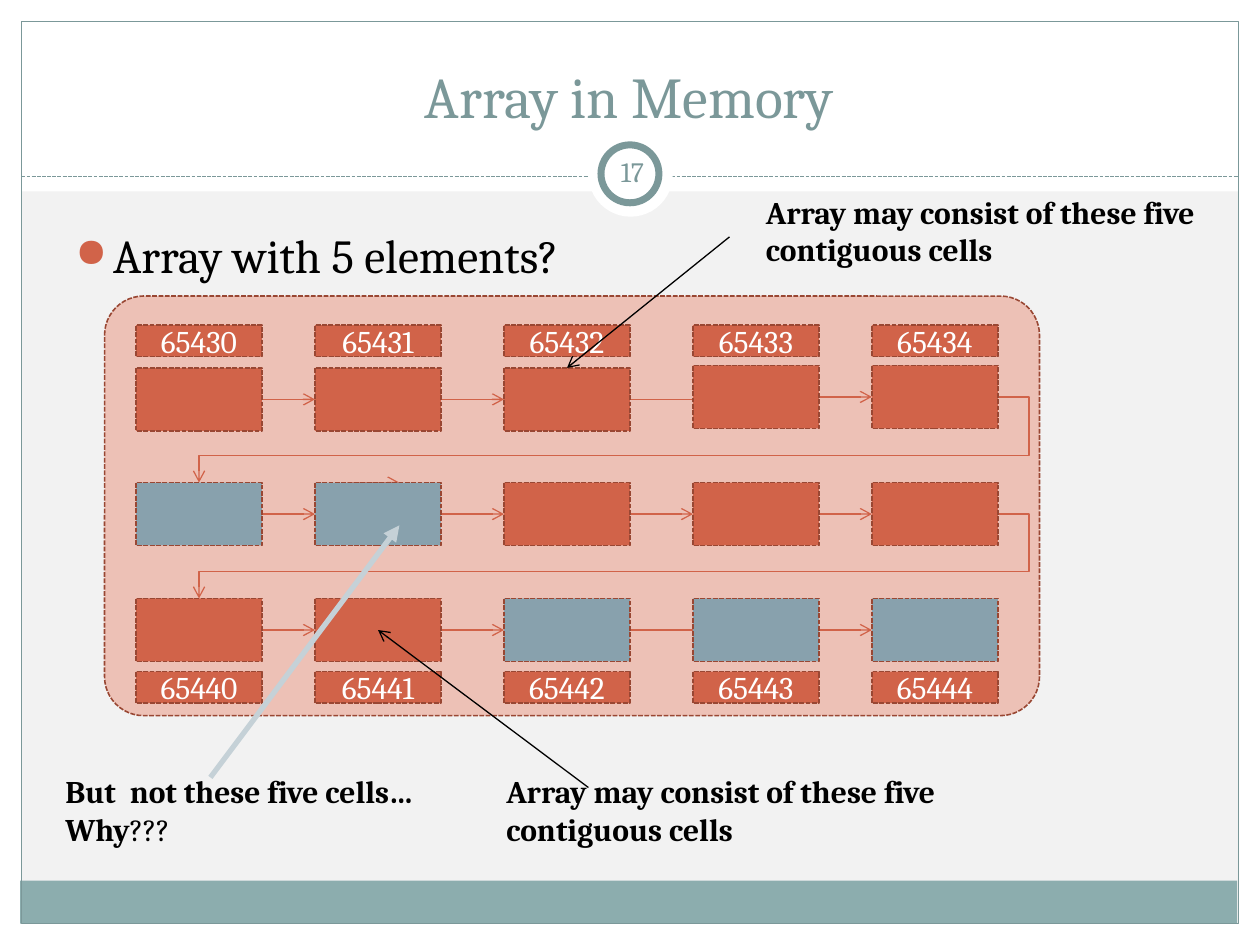
"""Build the slide that shows which memory cells can hold a five-element array."""
from lxml import etree
from pptx import Presentation
from pptx.dml.color import RGBColor
from pptx.enum.dml import MSO_LINE
from pptx.enum.shapes import MSO_CONNECTOR, MSO_SHAPE
from pptx.enum.text import MSO_ANCHOR, PP_ALIGN
from pptx.oxml.ns import qn
from pptx.util import Inches, Pt

RECT, ROUNDED, OVAL = MSO_SHAPE.RECTANGLE, MSO_SHAPE.ROUNDED_RECTANGLE, MSO_SHAPE.OVAL
STRAIGHT, ELBOW = MSO_CONNECTOR.STRAIGHT, MSO_CONNECTOR.ELBOW
DASH = MSO_LINE.SQUARE_DOT
TOP, MIDDLE, BOTTOM = MSO_ANCHOR.TOP, MSO_ANCHOR.MIDDLE, MSO_ANCHOR.BOTTOM
LEFT, CENTER = PP_ALIGN.LEFT, PP_ALIGN.CENTER

FONT = "Cambria"
COLORS = {
    "background": "F2F2F2", "white": "FFFFFF", "black": "000000",
    "teal": "7B9899", "footer": "8CADAE", "red": "D16349",
    "dark_red": "994733", "memory": "EDC1B6", "blue": "88A1AD", "pale": "C5D1D7",
}
COLUMNS = [1.08, 2.5, 4, 5.5, 6.92]
ROWS = [2.92, 3.83, 4.75]
CELL_W, CELL_H, LABEL_H = 1, 0.5, 0.25
BLUE_CELLS = {(1, 0), (1, 1), (2, 2), (2, 3), (2, 4)}
LONG_LINKS = {(0, 2), (2, 2)}
CONTIGUOUS = "Array may consist of these five contiguous cells"


class Deck:
    """Hold the style and the current slide."""

    def __init__(self, prs):
        self.s = prs.slides.add_slide(prs.slide_layouts[5])
        fill = self.s.background.fill
        fill.solid()
        fill.fore_color.rgb = self.color("background")

    def color(self, name):
        return RGBColor.from_string(COLORS[name])

    def stroke(self, line, color, width, dash=None):
        line.color.rgb = self.color(color)
        line.width = Pt(width)
        if dash:
            line.dash_style = dash

    def set_text(self, tf, text, size, color, bold=False, align=LEFT, anchor=TOP):
        tf.text = text
        tf.word_wrap = True
        tf.vertical_anchor = anchor
        for p in tf.paragraphs:
            p.alignment = align
            for r in p.runs:
                self.format_run(r, size, color, bold)

    def format_run(self, r, size, color, bold=False):
        r.font.name, r.font.size, r.font.bold = FONT, Pt(size), bold
        r.font.color.rgb = self.color(color)

    def shape(self, kind, x, y, w, h, fill=None, line=None, width=0.75, dash=None):
        sp = self.s.shapes.add_shape(kind, Inches(x), Inches(y), Inches(w), Inches(h))
        sp.shadow.inherit = False
        if fill:
            sp.fill.solid()
            sp.fill.fore_color.rgb = self.color(fill)
        else:
            sp.fill.background()
        if line:
            self.stroke(sp.line, line, width, dash)
        else:
            sp.line.fill.background()
        return sp

    def cell(self, x, y, h, fill="red", text=None):
        sp = self.shape(RECT, x, y, CELL_W, h, fill, "dark_red", 0.91, DASH)
        if text:
            self.set_text(sp.text_frame, text, 18, "white", align=CENTER, anchor=MIDDLE)

    def line(self, start, end, color, width=0.75, dash=None, head=None, kind=STRAIGHT):
        c = self.s.shapes.add_connector(kind, *(Inches(v) for v in (*start, *end)))
        self.stroke(c.line, color, width, dash)
        spPr = c._element.spPr
        if head:
            etree.SubElement(spPr.find(qn("a:ln")), qn("a:tailEnd"), type=head)
        etree.SubElement(spPr, qn("a:effectLst"))
        return c

    def wrap_link(self, start, end):
        c = self.line(start, end, "red", head="arrow", kind=ELBOW)
        geom = c._element.spPr.find(qn("a:prstGeom"))
        geom.set("prst", "bentConnector4")
        guides = geom.find(qn("a:avLst"))
        for name, value in (("adj1", -3900), ("adj2", 68500)):
            etree.SubElement(guides, qn("a:gd"), name=name, fmla=f"val {value}")

    def text(self, x, y, w, h, text, size=18, color="black", **style):
        sp = self.s.shapes.add_textbox(Inches(x), Inches(y), Inches(w), Inches(h))
        self.set_text(sp.text_frame, text, size, color, **style)
        return sp.text_frame

    def bullet(self, x, y, w, h, text):
        tf = self.text(x, y, w, h, text, 27)
        pPr = tf.paragraphs[0]._p.get_or_add_pPr()
        pPr.set("marL", str(Inches(0.3)))
        pPr.set("indent", str(Inches(-0.3)))
        color = etree.SubElement(pPr, qn("a:buClr"))
        etree.SubElement(color, qn("a:srgbClr"), val=COLORS["red"])
        etree.SubElement(pPr, qn("a:buSzPct"), val="85000")
        etree.SubElement(pPr, qn("a:buChar"), char="●")

    def title(self, x, y, w, h, text):
        sp = self.s.shapes.title
        sp.left, sp.top, sp.width, sp.height = (Inches(v) for v in (x, y, w, h))
        self.set_text(sp.text_frame, text, 33, "teal", align=CENTER, anchor=BOTTOM)
        self.s.shapes._spTree.append(sp._element)


def draw_frame(deck):
    """Draw the border, the header and the page number."""
    for box in ((0, 7.33, 10, 0.17), (0, 0, 10, 1.52), (0, 0, 0.17, 7.5), (9.83, 0, 0.17, 7.5)):
        deck.shape(RECT, *box, "white")
    deck.shape(RECT, 0.16, 6.99, 9.66, 0.34, "footer")
    deck.shape(RECT, 0.17, 0.17, 9.66, 7.16, line="teal")
    deck.line((0.17, 1.4), (9.83, 1.4), "teal", dash=DASH)
    deck.shape(OVAL, 4.67, 1.05, 0.67, 0.67, "white")
    deck.shape(OVAL, 4.77, 1.15, 0.46, 0.46, "white", "teal", 4)
    deck.title(0.33, 0.25, 9.33, 0.83, "Array in Memory")
    deck.text(4.77, 1.12, 0.5, 0.48, "17", 16, "teal", align=CENTER, anchor=MIDDLE)


def cell_top(row, col):
    """Return the top of a cell; the last two of the first row sit slightly higher."""
    return 2.9 if row == 0 and col > 2 else ROWS[row]


def draw_memory(deck):
    """Draw the memory block with its links, cells and addresses."""
    block = deck.shape(ROUNDED, 0.83, 2.35, 7.42, 3.33, "memory", "dark_red", 0.91, DASH)
    block.adjustments[0] = 0.093
    for row in range(len(ROWS)):
        for col in range(len(COLUMNS) - 1):
            y = cell_top(row, col) + CELL_H / 2
            end = COLUMNS[col + 1] + (0.17 if (row, col) in LONG_LINKS else 0)
            deck.line((COLUMNS[col] + CELL_W, y), (end, y), "red", head="arrow")
    deck.line((2.75, 3.83), (3.17, 3.83), "red", head="arrow")
    for row in range(len(ROWS) - 1):
        deck.wrap_link((COLUMNS[-1] + CELL_W, cell_top(row, 4) + CELL_H / 2),
                       (COLUMNS[0] + CELL_W / 2, ROWS[row + 1]))
    for col, x in enumerate(COLUMNS):
        for row in range(len(ROWS)):
            fill = "blue" if (row, col) in BLUE_CELLS else "red"
            deck.cell(x, cell_top(row, col), CELL_H, fill)
        for y, first in ((2.58, 65430), (5.33, 65440)):
            deck.cell(x, y, LABEL_H, text=str(first + col))


def draw_notes(deck):
    """Draw the remarks and their pointers."""
    deck.text(5.98, 1.48, 3.68, 0.7, CONTIGUOUS, bold=True)
    deck.line((5.79, 1.88), (4.5, 2.92), "black", head="arrow")
    deck.text(3.92, 6.08, 3.75, 0.7, CONTIGUOUS, bold=True)
    deck.line((4.67, 6.25), (3, 5), "black", head="arrow")
    tf = deck.text(0.42, 6.08, 3.25, 1, "But  not these five cells…\nWhy", bold=True)
    r = tf.paragraphs[1].add_run()
    r.text = "???"
    deck.format_run(r, 18, "black")
    deck.line((1.67, 6.17), (3.17, 4.17), "pale", 3, head="triangle")


def main():
    """Build and save the presentation."""
    prs = Presentation()
    prs.slide_width, prs.slide_height = Inches(10), Inches(7.5)
    deck = Deck(prs)
    draw_frame(deck)
    deck.bullet(0.5, 1.75, 8.17, 5.08, "Array with 5 elements?")
    draw_memory(deck)
    draw_notes(deck)
    prs.save("out.pptx")


if __name__ == "__main__":
    main()
